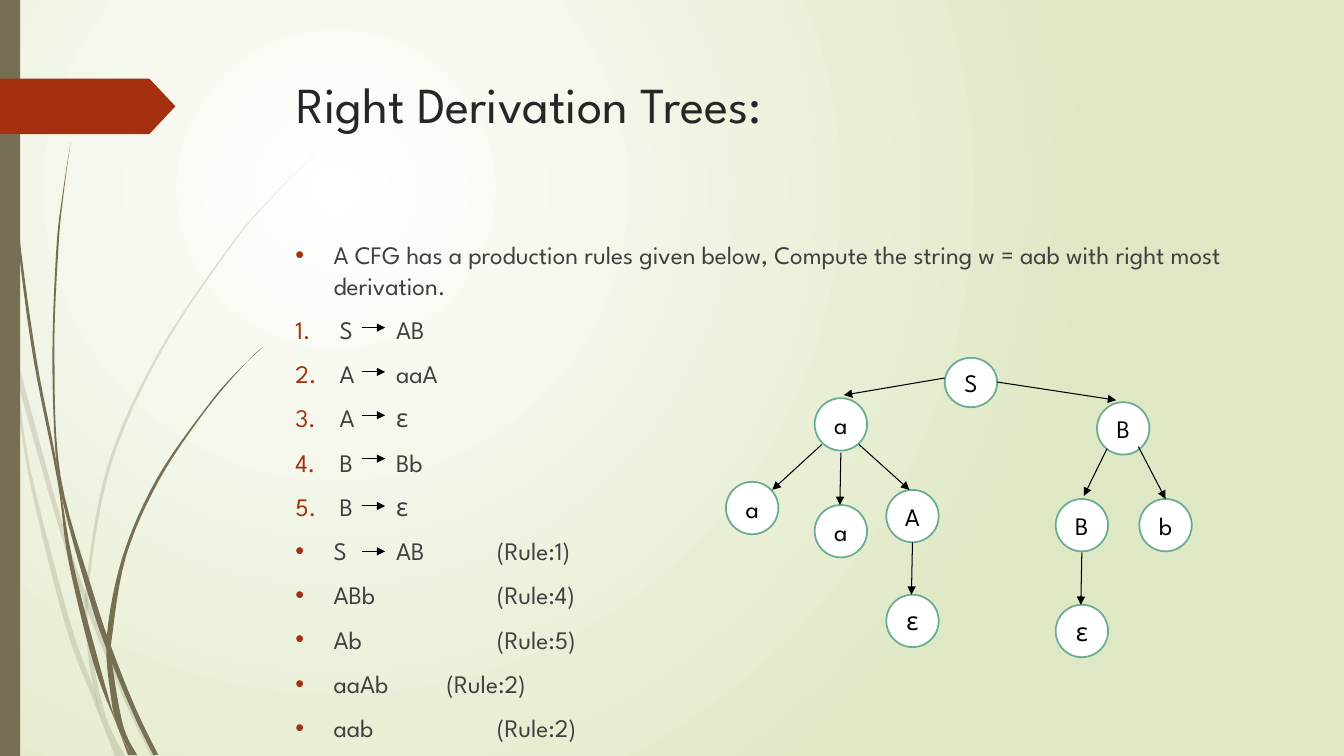
from lxml import etree
from pptx import Presentation
from pptx import util as u
from pptx.dml.color import RGBColor
from pptx.enum import shapes, text
from pptx.oxml.ns import qn

INK = {
    "title": "262626", "body": "404040", "black": "000000", "white": "FFFFFF",
    "rust": "A53010", "olive": "766F54", "ring": "6AAC91", "glow": "DFE8C4",
}
FONT = "League Spartan"

PALE = [
    ([(0.14, 3.45), (0.17, 3.76), (0.58, 5.22), (0.84, 5.99), (1.23, 6.94), (1.5, 7.5)],
     [(1.55, 7.5), (1.27, 6.92), (0.92, 6.07), (0.62, 5.2), (0.14, 3.45)]),
    ([(0, 2.99), (0.1, 3.44), (0.28, 4.7), (0.65, 6.21), (0.92, 6.93), (1.14, 7.5)],
     [(1.19, 7.5), (1.01, 7.14), (0.93, 6.83), (0.7, 6.19), (0.31, 4.69),
      (0.17, 3.76), (0.09, 3.22), (0, 2.82)]),
    ([(3.12, 1.53), (2.68, 1.97), (2.28, 2.44), (1.58, 3.48), (1.07, 4.61),
      (0.85, 5.84), (0.87, 6.46), (0.93, 6.83), (1.01, 7.14), (1.19, 7.5)],
     [(1.24, 7.5), (1.05, 7.11), (0.91, 6.46), (0.88, 5.84), (1.1, 4.62),
      (1.6, 3.49), (2.29, 2.45), (2.68, 1.98), (3.12, 1.53)]),
]
DARK = [
    ([(0.03, 0), (0.07, 1.1), (0.17, 2.33), (0.33, 3.55), (0.57, 4.77),
      (0.68, 5.57), (0.93, 6.59), (1.17, 7.22), (1.27, 7.49)],
     [(1.31, 7.49), (1.17, 7.22), (0.98, 6.57), (0.72, 5.56), (0.55, 4.53),
      (0.36, 3.55), (0.19, 2.32), (0.08, 1.09), (0.04, 0)]),
    ([(0.7, 1.41), (0.62, 1.93), (0.56, 2.45), (0.52, 3.49), (0.55, 4.49),
      (0.64, 5.05), (0.88, 5.92), (1.06, 6.45), (1.32, 7.08), (1.52, 7.49)],
     [(1.57, 7.49), (1.36, 7.06), (1.13, 6.49), (0.93, 5.9), (0.6, 4.72),
      (0.54, 3.49), (0.58, 2.45), (0.63, 1.93), (0.7, 1.41)]),
    ([(2.61, 3.44), (2.31, 3.73), (2.04, 4.05), (1.56, 4.74), (1.22, 5.51),
      (1.06, 6.31), (1.1, 6.91), (1.17, 7.22), (1.31, 7.49)],
     [(1.36, 7.49), (1.22, 7.19), (1.11, 6.56), (1.11, 6.33), (1.25, 5.52),
      (1.58, 4.76), (2.05, 4.06), (2.45, 3.59), (2.61, 3.44)]),
]

TASK = ("A CFG has a production rules given below, Compute the string "
        "w = aab with right most derivation.")
RULES = ["S\tAB", "A\taaA", "A\tε", "B\tBb", "B\tε"]
STEPS = ["S\tAB\t\t(Rule:1)", "ABb\t\t\t(Rule:4)", "Ab\t\t\t(Rule:5)",
         "aaAb\t\t(Rule:2)", "aab\t\t\t(Rule:2)"]
ARROWS = [3.25, 3.69, 4.12, 4.55, 5.02, 5.47]
NODES = [
    ("S", 9.37, 3.55, 0.49), ("a", 8.08, 3.95, 0.52), ("B", 10.88, 3.99, 0.52),
    ("a", 7.2, 4.78, 0.52), ("a", 8.08, 5.01, 0.52), ("A", 8.79, 4.86, 0.52),
    ("B", 10.47, 4.95, 0.52), ("b", 11.3, 4.95, 0.52),
    ("ε", 8.79, 5.9, 0.52), ("ε", 10.47, 6, 0.52),
]
EDGES = [
    (9.37, 3.75, 8.37, 3.92), (9.89, 3.79, 11.07, 3.97),
    (8.15, 4.41, 7.66, 4.86), (8.34, 4.49, 8.33, 5.01), (8.52, 4.41, 9.02, 4.86),
    (10.98, 4.45, 10.75, 4.92), (11.29, 4.43, 11.56, 4.95),
    (9.05, 5.38, 9.04, 5.9), (10.73, 5.48, 10.72, 6),
]


def rgb(name):
    return RGBColor.from_string(INK[name])


def add(parent, tag, **attrs):
    return etree.SubElement(parent, qn(tag), attrs)


def write(para, words, size=18, ink="black", align=text.PP_ALIGN.LEFT):
    run = para.add_run()
    run.text = words
    run.font.name = FONT
    run.font.size = u.Pt(size)
    run.font.color.rgb = rgb(ink)
    para.alignment = align


def curve(knots, steps=6):
    ends = [knots[0], *knots, knots[-1]]
    dots = []
    for a, b, c, d in zip(ends, ends[1:], ends[2:], ends[3:]):
        for i in range(steps):
            t = i / steps
            dots.append(tuple(
                (2 * q + (r - p) * t + (2 * p - 5 * q + 4 * r - s) * t ** 2
                 + (3 * q - p - 3 * r + s) * t ** 3) / 2
                for p, q, r, s in zip(a, b, c, d)))
    return dots + [knots[-1]]


class Deck:
    def __init__(self):
        self.prs = Presentation()
        self.prs.slide_width = u.Inches(13.33)
        self.prs.slide_height = u.Inches(7.5)
        self.slide = self.prs.slides.add_slide(self.prs.slide_layouts[5])
        self.items = self.slide.shapes

    def glow(self):
        fill = self.slide.background.fill
        fill.gradient()
        for stop, ink in zip(fill.gradient_stops, ("white", "glow")):
            stop.color.rgb = rgb(ink)
        grad = self.slide.background._cSld.find(".//" + qn("a:gradFill"))
        grad.remove(grad.find(qn("a:lin")))
        ring = etree.Element(qn("a:path"), {"path": "circle"})
        add(ring, "a:fillToRect", l="50000", t="50000", r="100000", b="100000")
        grad.find(qn("a:gsLst")).addnext(ring)

    def paint(self, shape, ink, line=None):
        shape.shadow.inherit = False
        shape.fill.solid()
        shape.fill.fore_color.rgb = rgb(ink)
        if line:
            shape.line.color.rgb = rgb(line)
            shape.line.width = u.Pt(1.25)
        else:
            shape.line.fill.background()

    def blade(self, left, right, alpha=None):
        dots = [(u.Inches(x), u.Inches(y)) for x, y in curve(left) + curve(right)]
        pen = self.items.build_freeform(*dots[0])
        pen.add_line_segments(dots[1:])
        shape = pen.convert_to_shape()
        self.paint(shape, "olive")
        if alpha:
            tint = shape._element.spPr.find(".//" + qn("a:srgbClr"))
            add(tint, "a:alpha", val=str(alpha * 1000))

    def shape(self, kind, x, y, w, h, ink, line=None):
        shape = self.items.add_shape(kind, *map(u.Inches, (x, y, w, h)))
        self.paint(shape, ink, line)
        return shape

    def node(self, label, x, y, h):
        oval = self.shape(shapes.MSO_SHAPE.OVAL, x, y, 0.52, h, "white", "ring")
        frame = oval.text_frame
        frame.vertical_anchor = text.MSO_ANCHOR.MIDDLE
        write(frame.paragraphs[0], label, align=text.PP_ALIGN.CENTER)

    def arrow(self, *ends):
        line = self.items.add_connector(
            shapes.MSO_CONNECTOR.STRAIGHT, *map(u.Inches, ends))
        line.line.color.rgb = rgb("black")
        line.line.width = u.Pt(0.75)
        add(line.line._get_or_add_ln(), "a:tailEnd", type="triangle")
        add(line._element.spPr, "a:effectLst")

    def title(self, words):
        head = self.items.title
        head.left, head.top, head.width, head.height = map(
            u.Inches, (2.84, 0.68, 9.75, 1.4))
        head.text_frame.vertical_anchor = text.MSO_ANCHOR.TOP
        write(head.text_frame.paragraphs[0], words, size=36, ink="title")

    def body(self, rows):
        box = self.items.add_textbox(*map(u.Inches, (2.83, 2.33, 9.75, 5.17)))
        frame = box.text_frame
        frame.word_wrap = True
        for i, (words, count) in enumerate(rows):
            para = frame.add_paragraph() if i else frame.paragraphs[0]
            write(para, words, ink="body")
            para.space_before = u.Pt(10)
            props = para._p.get_or_add_pPr()
            inset = u.Inches(0.44 if count else 0.38)
            props.set("marL", str(inset))
            props.set("indent", str(-inset))
            props.set("defTabSz", str(u.Inches(0.5)))
            add(add(props, "a:buClr"), "a:srgbClr", val=INK["rust"])
            if count:
                add(props, "a:buFont", typeface=FONT)
                add(props, "a:buAutoNum", type="arabicPeriod")
            else:
                add(props, "a:buFont", typeface="Arial")
                add(props, "a:buChar", char="•")


def main():
    deck = Deck()
    deck.glow()
    for left, right in PALE:
        deck.blade(left, right, alpha=20)
    for left, right in DARK:
        deck.blade(left, right)
    deck.shape(shapes.MSO_SHAPE.RECTANGLE, 0, 0, 0.2, 7.5, "olive")
    tag = deck.shape(shapes.MSO_SHAPE.PENTAGON, 0, 0.78, 1.74, 0.55, "rust")
    tag.adjustments[0] = 0.47
    deck.title("Right Derivation Trees:")
    deck.body([(TASK, False)] + [(r, True) for r in RULES] + [(s, False) for s in STEPS])
    for y in ARROWS:
        deck.arrow(3.59, y, 3.82, y)
    for node in NODES:
        deck.node(*node)
    for edge in EDGES:
        deck.arrow(*edge)
    deck.prs.save("out.pptx")


if __name__ == "__main__":
    main()
